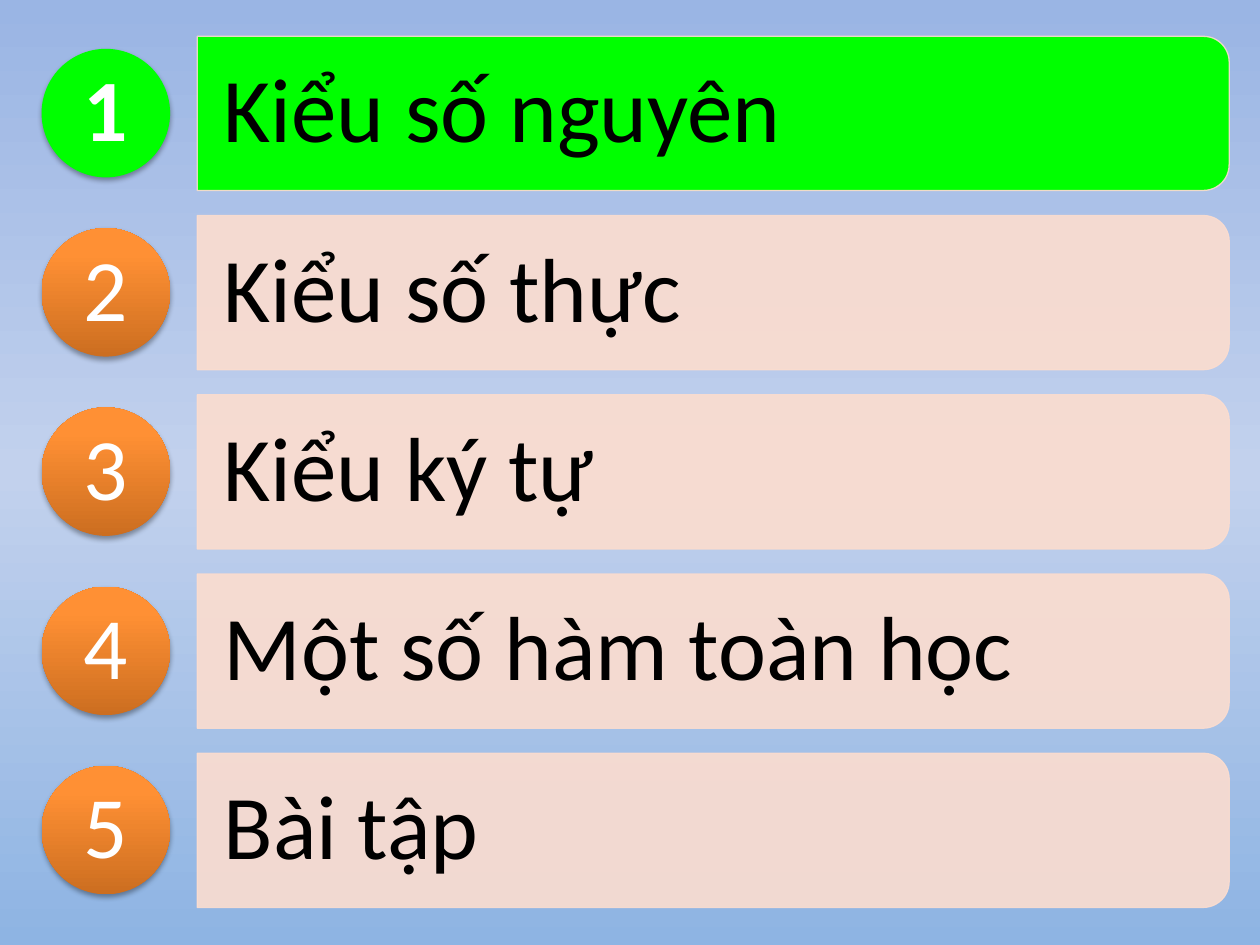
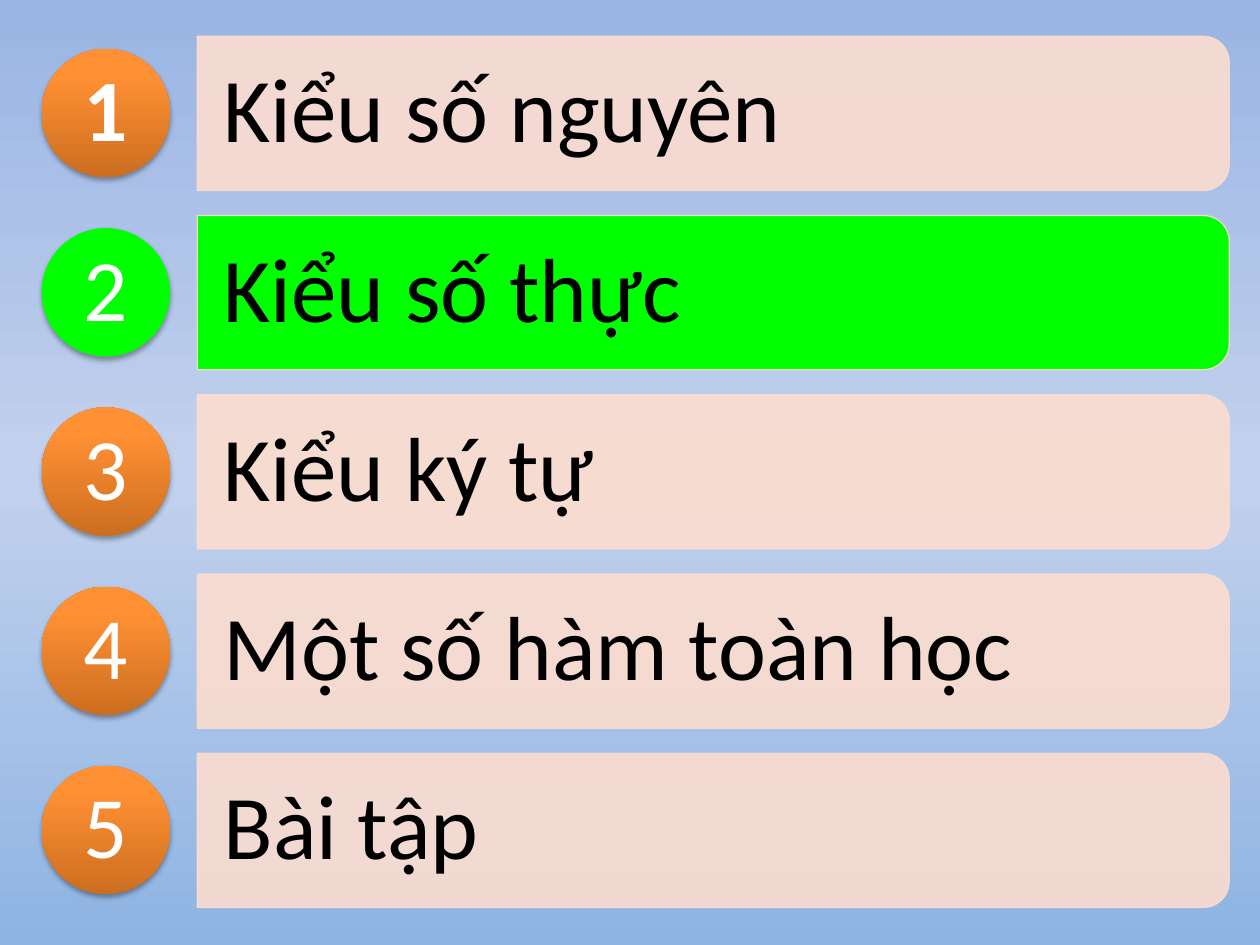
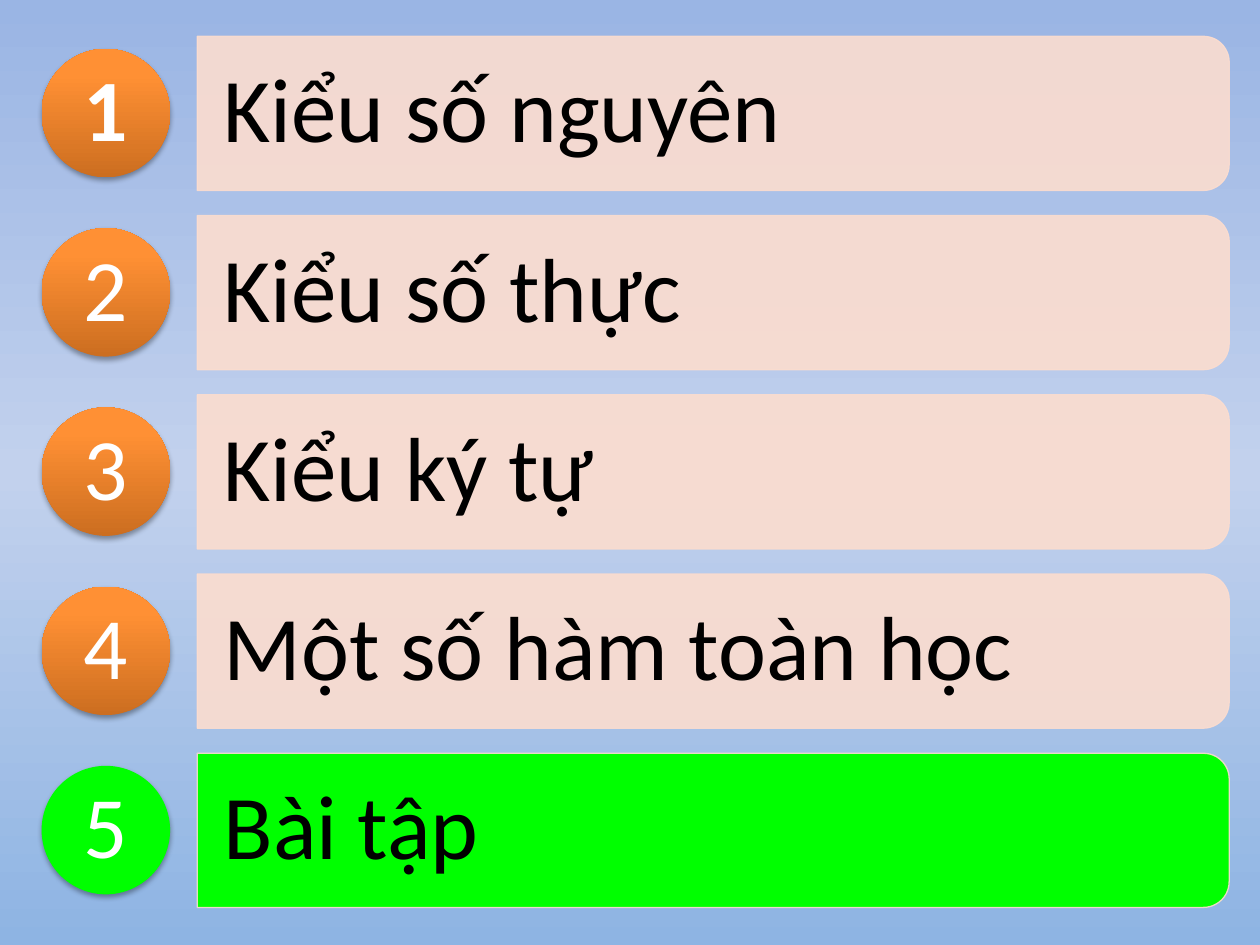
from pptx import Presentation
from pptx import util as u
from pptx.dml.color import RGBColor
from pptx.enum import shapes, text
from pptx.oxml import ns, parse_xml

WHITE = RGBColor(0xFF, 0xFF, 0xFF)
BLACK = RGBColor(0x00, 0x00, 0x00)
GREEN = RGBColor(0x00, 0xFF, 0x00)
PEACH = RGBColor(0xFC, 0xDD, 0xCF)
SKY = [(0, RGBColor(0x9A, 0xB5, 0xE4)), (50, RGBColor(0xC2, 0xD1, 0xED)),
       (100, RGBColor(0x8E, 0xB4, 0xE3))]
ORANGE = [(0, RGBColor(0xCC, 0x6E, 0x20)), (80, RGBColor(0xFF, 0x90, 0x34)),
          (100, RGBColor(0xFF, 0x91, 0x36))]

TOPICS = ["Kiểu số nguyên", "Kiểu số thực", "Kiểu ký tự",
          "Một số hàm toàn học", "Bài tập"]
CURRENT_TOPICS = [1, 2, 5]

# Grid: ten columns across; one row per topic, measured between row centres
WIDTH, HEIGHT = u.Inches(10), u.Inches(7.5)
COLUMN = WIDTH / 10
FIRST_CENTRE, LAST_CENTRE = 0.12 * HEIGHT, 0.88 * HEIGHT - u.Inches(0.01)
ROW = (LAST_CENTRE - FIRST_CENTRE) / (len(TOPICS) - 1)


def set_gradient(element, stops, angle):
    """Replace the first solid fill of the element by a linear gradient."""
    solid = next(element.iter(ns.qn("a:solidFill")))
    stop_xml = "".join(
        f'<a:gs pos="{share * 1000}"><a:srgbClr val="{color}"/></a:gs>'
        for share, color in stops)
    solid.getparent().replace(solid, parse_xml(
        f'<a:gradFill {ns.nsdecls("a")} rotWithShape="1"><a:gsLst>{stop_xml}</a:gsLst>'
        f'<a:lin ang="{angle * 60000}" scaled="0"/></a:gradFill>'))


class AgendaDeck:
    font = "Calibri"

    def __init__(self):
        self.presentation = Presentation()
        self.presentation.slide_width = WIDTH
        self.presentation.slide_height = HEIGHT
        self.slide = None

    def add_slide(self):
        self.slide = self.presentation.slides.add_slide(
            self.presentation.slide_layouts[6])
        self.slide.background.fill.solid()
        set_gradient(self.slide.element, SKY, 90)

    def box(self, centre, row, columns, rows):
        """Left, top, width and height around a centre on the grid."""
        width, height = columns * COLUMN, rows * ROW
        left = centre * COLUMN - width / 2
        top = FIRST_CENTRE + row * ROW - height / 2
        return [u.Emu(round(length)) for length in (left, top, width, height)]

    def bar(self, row, current):
        left, top, width, height = self.box(5.66, row, 8.19, 0.86)
        # The upright shape is turned so that its round corners face right
        shift = (width - height) // 2
        shape = self.slide.shapes.add_shape(
            shapes.MSO_SHAPE.ROUND_2_SAME_RECTANGLE,
            left + shift, top - shift, height, width)
        shape.rotation = 90
        shape.shadow.inherit = False
        shape.fill.solid()
        shape.fill.fore_color.rgb = GREEN if current else PEACH
        shape.line.color.rgb = PEACH
        shape.line.width = u.Pt(0.75)
        for solid in shape.element.spPr.iter(ns.qn("a:solidFill")):
            if solid[0].get("val") == str(PEACH):
                solid[0].append(parse_xml(f'<a:alpha {ns.nsdecls("a")} val="90000"/>'))

    def circle(self, row, current):
        left, top, size, _ = self.box(0.84, row, 1.02, 0.72)
        shape = self.slide.shapes.add_shape(
            shapes.MSO_SHAPE.OVAL, left, top, size, size)
        shape.fill.solid()
        shape.fill.fore_color.rgb = GREEN
        shape.line.fill.background()
        if not current:
            set_gradient(shape.element, ORANGE, 270)
        shape.shadow.inherit = False
        shape.element.spPr.find(ns.qn("a:effectLst")).append(parse_xml(
            f'<a:outerShdw {ns.nsdecls("a")} blurRad="{u.Pt(3.1)}" dist="{u.Pt(1.8)}"'
            ' dir="5400000" rotWithShape="0"><a:srgbClr val="000000">'
            '<a:alpha val="35000"/></a:srgbClr></a:outerShdw>'))

    def label(self, words, box, size, color, alignment, inset=(0, 0), bold=False):
        frame = self.slide.shapes.add_textbox(*box).text_frame
        frame.word_wrap = True
        frame.vertical_anchor = text.MSO_ANCHOR.MIDDLE
        frame.margin_left = frame.margin_right = u.Inches(inset[0])
        frame.margin_top = frame.margin_bottom = u.Inches(inset[1])
        paragraph = frame.paragraphs[0]
        paragraph.alignment = alignment
        paragraph.line_spacing = 0.9
        run = paragraph.add_run()
        run.text = words
        run.font.name = self.font
        run.font.size = u.Pt(size)
        run.font.bold = bold
        run.font.color.rgb = color

    def topic(self, row, title, current):
        self.bar(row, current)
        self.label(title, self.box(5.62, row, 8.13, 0.77), 52, BLACK,
                   text.PP_ALIGN.LEFT, inset=(0.22, 0.14))
        self.circle(row, current)
        self.label(str(row + 1), self.box(0.84, row, 0.72, 0.51), 50, WHITE,
                   text.PP_ALIGN.CENTER, bold=row == 0)


def main():
    deck = AgendaDeck()
    # One agenda slide for each highlighted topic
    for current_number in CURRENT_TOPICS:
        deck.add_slide()
        for row, title in enumerate(TOPICS):
            deck.topic(row, title, current=row + 1 == current_number)
    deck.presentation.save("out.pptx")


if __name__ == "__main__":
    main()
